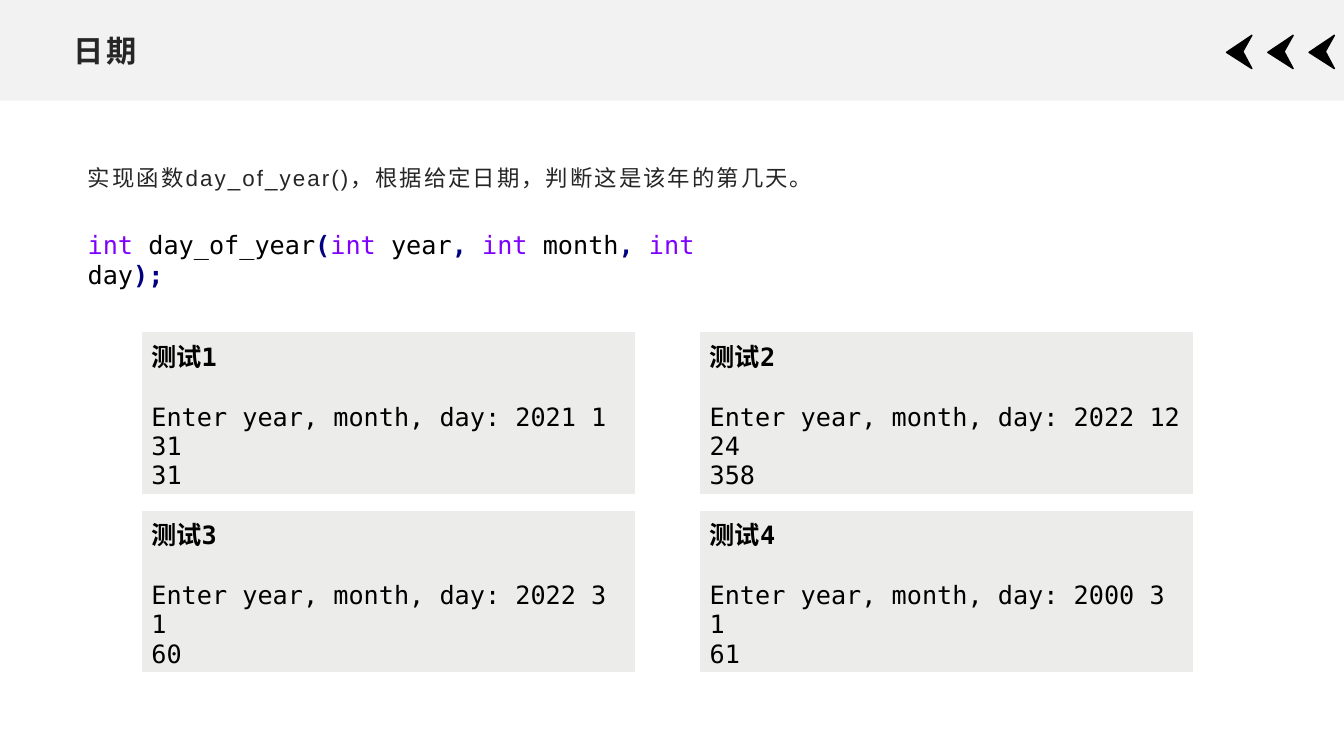
"""Build the slide on the day-of-year exercise."""
from lxml.etree import SubElement
from pptx import Presentation
from pptx.dml.color import RGBColor
from pptx.enum.shapes import MSO_SHAPE
from pptx.enum.text import MSO_ANCHOR, MSO_AUTO_SIZE, PP_ALIGN
from pptx.oxml import parse_xml
from pptx.oxml.ns import nsdecls, qn
from pptx.util import Cm, Pt

BAND = RGBColor(0xF2, 0xF2, 0xF2)
PANEL = RGBColor(0xEC, 0xEC, 0xEA)
INK = RGBColor(0x26, 0x26, 0x26)
BLACK = RGBColor(0, 0, 0)
KEYWORD = RGBColor(0x80, 0x00, 0xFF)
SYMBOL = RGBColor(0x00, 0x00, 0x80)

TITLE_FONT = {"name": "Arial", "size": Pt(21.6), "bold": True}
BODY_FONT = {"name": "Arial", "size": Pt(16), "bold": False}
CODE_FONT = {"name": "DejaVu Sans Mono", "size": Pt(18), "bold": False}
CODE_BOLD = {**CODE_FONT, "bold": True}
BORDERS = {"lnL": 1, "lnR": 1, "lnT": 1, "lnB": 3}

SIGNATURE = [
    ("int", KEYWORD), (" day_of_year", BLACK), ("(", SYMBOL),
    ("int", KEYWORD), (" year", BLACK), (",", SYMBOL), (" ", BLACK),
    ("int", KEYWORD), (" month", BLACK), (",", SYMBOL), (" ", BLACK),
    ("int", KEYWORD), (" day", BLACK), (");", SYMBOL),
]
TESTS = [("2021 1 31", "31"), ("2022 12 24", "358"),
         ("2022 3 1", "60"), ("2000 3 1", "61")]


def add_run(p, text, fmt, color, spacing=None):
    """Append a formatted run, with letter spacing in points."""
    r = p.add_run()
    r.text = text
    for name, value in fmt.items():
        setattr(r.font, name, value)
    r.font.color.rgb = color
    if spacing:
        r.font._element.set("spc", str(int(spacing * 100)))


def fill_placeholder(sp, box, text, fmt, spacing, anchor):
    """Move a placeholder and write one plain paragraph in it."""
    sp.left, sp.top, sp.width, sp.height = map(Cm, box)
    tf = sp.text_frame
    tf.auto_size = MSO_AUTO_SIZE.NONE
    tf.vertical_anchor = anchor
    p = tf.paragraphs[0]
    p.alignment = PP_ALIGN.LEFT
    p.space_before = Pt(0)
    add_run(p, text, fmt, INK, spacing)
    return p


def add_band(s):
    """Put the grey header band behind the placeholders."""
    sp = s.shapes.add_shape(MSO_SHAPE.RECTANGLE, 0, 0, Cm(33.87), Cm(2.54))
    sp.shadow.inherit = False
    sp.fill.solid()
    sp.fill.fore_color.rgb = BAND
    sp.line.fill.background()
    s.shapes.title.element.addprevious(sp.element)


def add_arrows(s):
    """Draw the three left-pointing arrowheads as a group."""
    group = s.shapes.add_group_shape()
    for i in range(3):
        x = 30.91 + 1.04 * i
        points = [(Cm(x + dx), Cm(y)) for dx, y in
                  [(0.64, 1.73), (0, 1.32), (0.64, 0.89), (0.41, 1.3)]]
        builder = group.shapes.build_freeform(*points[0], scale=1.0)
        builder.add_line_segments(points[1:], close=True)
        sp = builder.convert_to_shape()
        sp.shadow.inherit = False
        sp.fill.solid()
        sp.fill.fore_color.rgb = BLACK
        sp.line.color.rgb = BLACK
        sp.line.width = Pt(1)


def add_signature(s):
    """Add the function prototype with coloured syntax."""
    sp = s.shapes.add_textbox(Cm(1.96), Cm(5.66), Cm(17.02), Cm(1.02))
    tf = sp.text_frame
    tf.word_wrap = True
    tf.auto_size = MSO_AUTO_SIZE.SHAPE_TO_FIT_TEXT
    for text, color in SIGNATURE:
        fmt = CODE_BOLD if color == SYMBOL else CODE_FONT
        add_run(tf.paragraphs[0], text, fmt, color)


def set_borders(cell):
    """Give a cell its white borders."""
    tcPr = cell._tc.get_or_add_tcPr()
    for i, (tag, width) in enumerate(BORDERS.items()):
        ln = parse_xml(f'<a:{tag} {nsdecls("a")} w="{Pt(width)}"/>')
        solid = SubElement(ln, qn("a:solidFill"))
        SubElement(solid, qn("a:srgbClr"), val="FFFFFF")
        tcPr.insert(i, ln)


def add_test(s, index, date, answer):
    """Add one sample run as a single-cell table in the two-column grid."""
    row, col = divmod(index, 2)
    table = s.shapes.add_table(1, 1, Cm(3.56 + 14.07 * col),
                               Cm(8.36 + 4.5 * row), Cm(12.45), Cm(3.4)).table
    table.first_row = table.horz_banding = False
    cell = table.cell(0, 0)
    cell.fill.solid()
    cell.fill.fore_color.rgb = PANEL
    set_borders(cell)
    tf = cell.text_frame
    add_run(tf.paragraphs[0], f"测试{index + 1}", CODE_BOLD, BLACK)
    p = tf.add_paragraph()
    p.space_before = Pt(21)
    add_run(p, f"Enter year, month, day: {date}", CODE_FONT, BLACK)
    add_run(tf.add_paragraph(), answer, CODE_FONT, BLACK)


def main():
    """Assemble and save the slide."""
    prs = Presentation()
    prs.slide_width, prs.slide_height = Cm(33.87), Cm(19.05)
    s = prs.slides.add_slide(prs.slide_layouts[1])
    add_band(s)
    add_arrows(s)
    fill_placeholder(s.shapes.title, (1.6, 0.66, 30.66, 1.22), "日期",
                     TITLE_FONT, 2, MSO_ANCHOR.MIDDLE)
    p = fill_placeholder(
        s.placeholders[1], (1.96, 3.81, 19.13, 1.35),
        "实现函数day_of_year()，根据给定日期，判断这是该年的第几天。",
        BODY_FONT, 1.5, MSO_ANCHOR.TOP)
    p.line_spacing = 1.3
    p.space_after = Pt(10)
    pPr = p._p.get_or_add_pPr()
    pPr.set("marL", "0")
    pPr.set("indent", "0")
    SubElement(pPr, qn("a:buNone"))
    for index, (date, answer) in enumerate(TESTS):
        add_test(s, index, date, answer)
    add_signature(s)
    prs.save("out.pptx")


if __name__ == "__main__":
    main()
